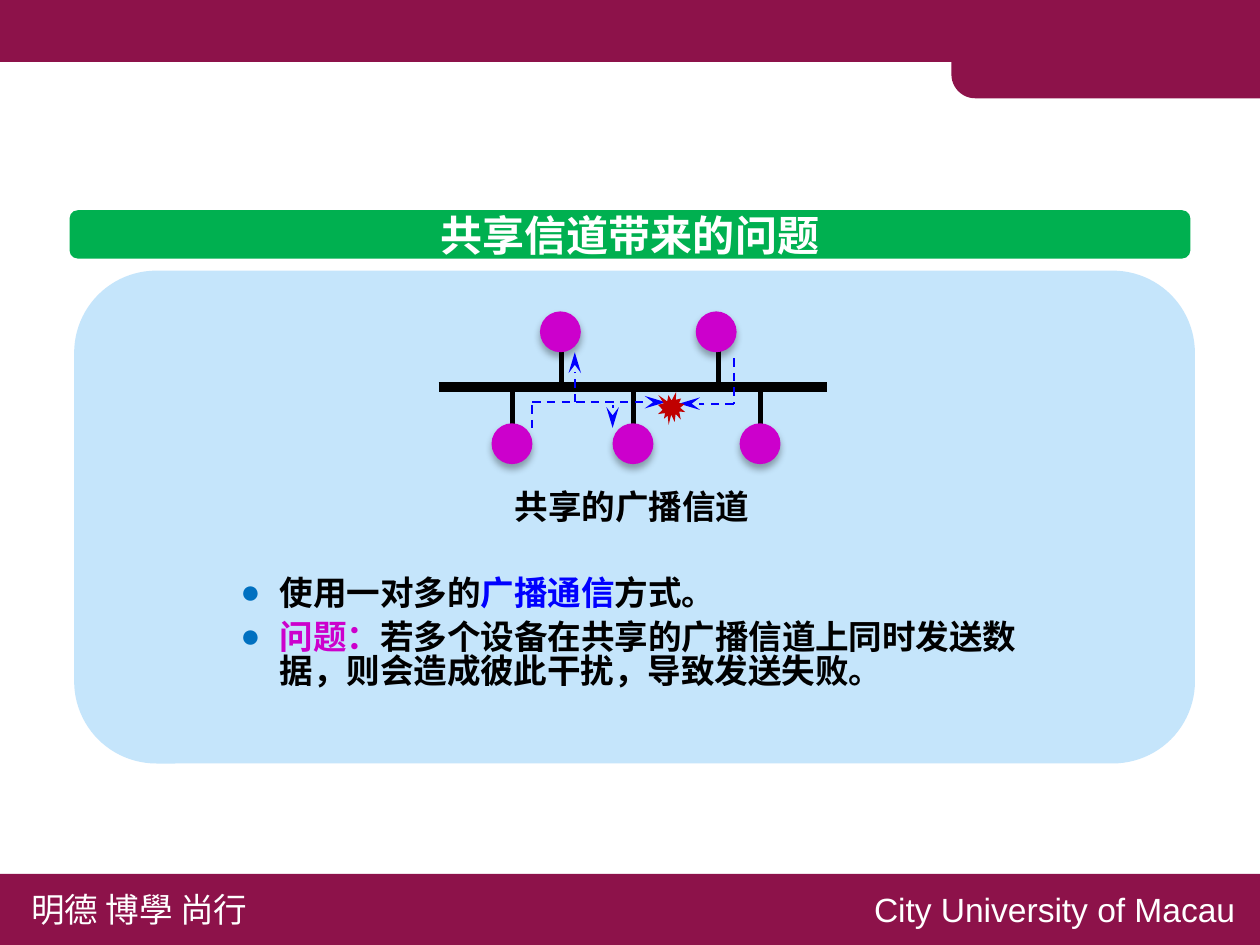
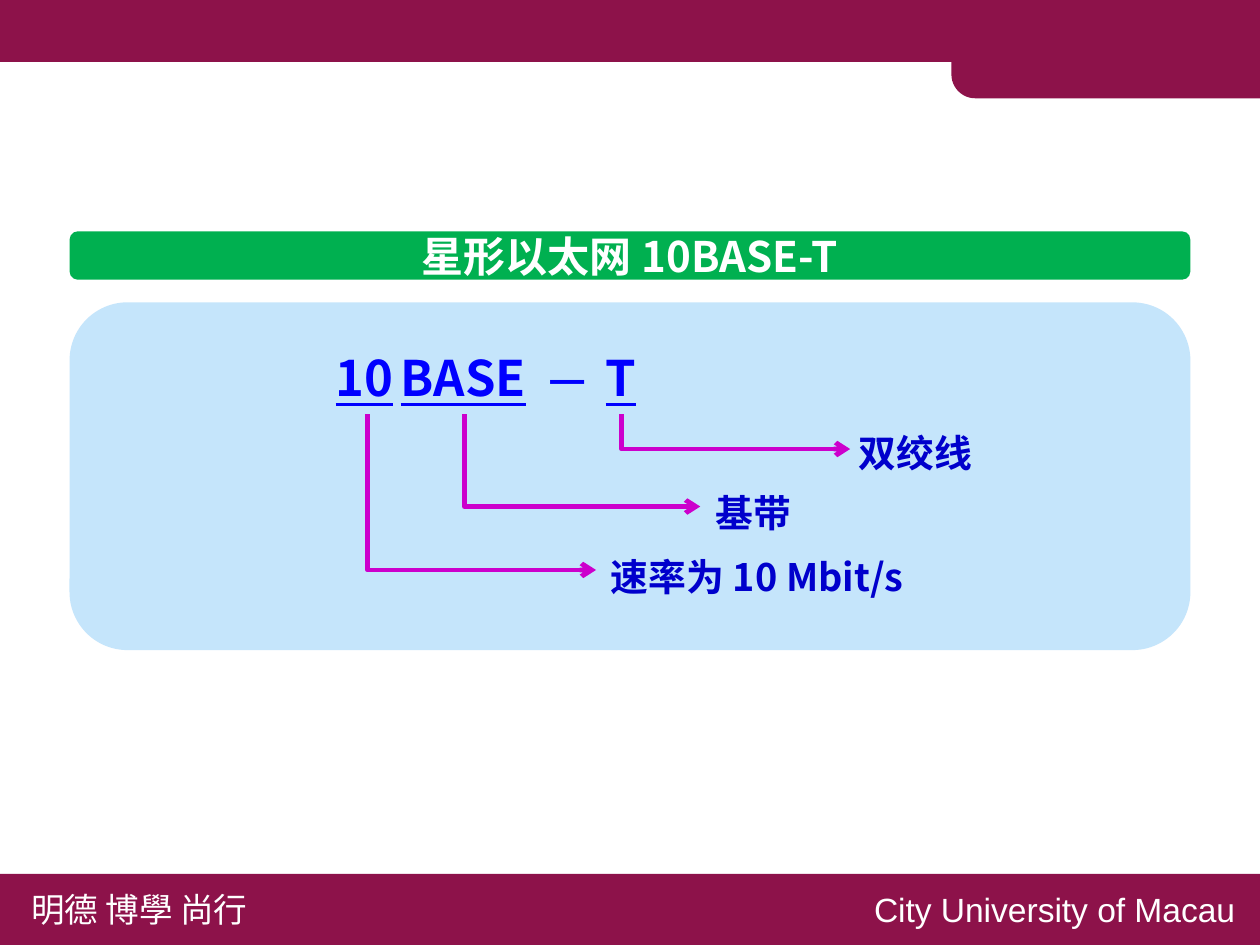
"""Build two lecture slides on shared channels and 10BASE-T Ethernet."""
from dataclasses import dataclass
from typing import NamedTuple, Optional

from lxml.etree import SubElement
from pptx import Presentation
from pptx.dml.color import RGBColor
from pptx.enum.dml import MSO_LINE
from pptx.enum.shapes import MSO_CONNECTOR, MSO_SHAPE
from pptx.enum.text import MSO_ANCHOR, PP_ALIGN
from pptx.oxml.ns import qn
from pptx.util import Pt

PX = 9144
WIDTH, HEIGHT = 833, 625
CJK, LATIN = "Noto Sans CJK SC", "Arial"

WHITE = RGBColor(0xFF, 0xFF, 0xFF)
BLACK = RGBColor(0x00, 0x00, 0x00)
MAROON = RGBColor(0x8D, 0x12, 0x4A)
GREEN = RGBColor(0x00, 0xB0, 0x50)
PALE_BLUE = RGBColor(0xC5, 0xE5, 0xFB)
BLUE = RGBColor(0x00, 0x00, 0xFF)
DARK_BLUE = RGBColor(0x00, 0x00, 0xCC)
BULLET_BLUE = RGBColor(0x00, 0x70, 0xC0)
MAGENTA = RGBColor(0xCC, 0x00, 0xCC)
RED = RGBColor(0xC0, 0x00, 0x00)


class Box(NamedTuple):
    left: int
    top: int
    width: int
    height: int


class Segment(NamedTuple):
    x1: int
    y1: int
    x2: int
    y2: int


@dataclass(frozen=True)
class Style:
    size: float
    color: RGBColor
    bold: bool = True
    underline: Optional[bool] = None
    font: str = CJK


@dataclass(frozen=True)
class Label:
    text: str
    box: Box
    style: Style
    align: PP_ALIGN = PP_ALIGN.LEFT


@dataclass(frozen=True)
class Signal:
    segment: Segment
    arrow: bool


@dataclass(frozen=True)
class Callout:
    segment: Segment
    label: Label


FOOTER = Style(16, WHITE, bold=False)
TITLE = Style(20, WHITE)
TERM = Style(23.3, BLUE, underline=True)
MEANING = Style(18, DARK_BLUE)
BODY_SIZE = 16

FOOTERS = [
    Label("明德 博學 尚行", Box(11, 583, 168, 37), FOOTER),
    Label("City University of Macau", Box(568, 583, 262, 37),
          Style(16, WHITE, bold=False, font=LATIN)),
]

BUS_Y = 256
NODE = 27
UPPER_NODES = [(357, 371), (460, 475)]
LOWER_NODES = [(325, 339), (405, 419), (489, 503)]

SIGNALS = [
    Signal(Segment(485, 267, 449, 267), True),
    Signal(Segment(485, 237, 485, 267), False),
    Signal(Segment(352, 266, 440, 266), True),
    Signal(Segment(380, 266, 380, 233), True),
    Signal(Segment(405, 268, 405, 283), True),
    Signal(Segment(352, 268, 352, 283), False),
]

BULLETS = [
    [("使用一对多的", BLACK), ("广播通信", BLUE), ("方式。", BLACK)],
    [("问题：", MAGENTA),
     ("若多个设备在共享的广播信道上同时发送数据，则会造成彼此干扰，导致发送失败。", BLACK)],
]

TERMS = [
    Label("10", Box(212, 225, 61, 49), TERM),
    Label("BASE", Box(255, 225, 106, 49), TERM),
    Label("—", Box(353, 228, 50, 44), Style(20, BLUE)),
    Label("T", Box(390, 225, 41, 49), TERM, PP_ALIGN.CENTER),
]

CALLOUTS = [
    Callout(Segment(411, 274, 562, 297), Label("双绞线", Box(558, 279, 100, 40), MEANING)),
    Callout(Segment(307, 274, 463, 335), Label("基带", Box(463, 319, 75, 40), MEANING)),
    Callout(Segment(243, 274, 394, 377),
            Label("速率为 10 Mbit/s", Box(394, 361, 235, 40), MEANING)),
]


def emu(lengths: tuple) -> list:
    """Turn px lengths into EMU."""
    return [round(n * PX) for n in lengths]


def format_run(r, style: Style) -> None:
    """Apply a text style to one run."""
    r.font.size = Pt(style.size)
    r.font.bold = style.bold
    r.font.underline = style.underline
    r.font.color.rgb = style.color
    r.font.name = style.font
    SubElement(r.font._element, qn("a:ea")).set("typeface", style.font)


def write_line(tf, text: str, style: Style, align: PP_ALIGN) -> None:
    """Write one vertically centred line of text."""
    tf.word_wrap = True
    tf.vertical_anchor = MSO_ANCHOR.MIDDLE
    tf.margin_top = tf.margin_bottom = 0
    tf.text = text
    p = tf.paragraphs[0]
    p.alignment = align
    format_run(p.runs[0], style)


def add_label(s, label: Label) -> None:
    """Add a one-line text box."""
    tf = s.shapes.add_textbox(*emu(label.box)).text_frame
    write_line(tf, label.text, label.style, label.align)


def add_filled(s, kind: MSO_SHAPE, box: Box, color: RGBColor):
    """Add a preset shape with a plain fill and no line."""
    sp = s.shapes.add_shape(kind, *emu(box))
    sp.shadow.inherit = False
    sp.fill.solid()
    sp.fill.fore_color.rgb = color
    sp.line.fill.background()
    return sp


def add_line(s, segment: Segment, color: RGBColor, width: float,
             kind: MSO_CONNECTOR = MSO_CONNECTOR.STRAIGHT, dashed: bool = False,
             head: str = "", length: str = "med"):
    """Add a connector, optionally dashed or with an arrowhead."""
    cxn = s.shapes.add_connector(kind, *emu(segment))
    cxn.line.color.rgb = color
    cxn.line.width = Pt(width)
    if dashed:
        cxn.line.dash_style = MSO_LINE.DASH
    spPr = cxn._element.spPr
    if head:
        tail = SubElement(spPr.find(qn("a:ln")), qn("a:tailEnd"))
        for key, value in (("type", head), ("w", "med"), ("len", length)):
            tail.set(key, value)
    SubElement(spPr, qn("a:effectLst"))
    return cxn


def add_elbow(s, segment: Segment) -> None:
    """Add an arrow that runs down and then right."""
    x1, y1, x2, y2 = segment
    w, h = y2 - y1, x2 - x1
    left, top = (x1 + x2 - w) / 2, (y1 + y2 - h) / 2
    cxn = add_line(s, Segment(left + w, top, left, top + h), MAGENTA, 2.25,
                   MSO_CONNECTOR.ELBOW, head="arrow")
    spPr = cxn._element.spPr
    spPr.find(qn("a:xfrm")).set("rot", str(270 * 60000))
    spPr.find(qn("a:prstGeom")).set("prst", "bentConnector2")


def add_node(s, left: int, top: int) -> None:
    """Add a station circle with a soft shadow."""
    sp = add_filled(s, MSO_SHAPE.OVAL, Box(left, top, NODE, NODE), MAGENTA)
    effects = sp._element.spPr.find(qn("a:effectLst"))
    shadow = SubElement(effects, qn("a:outerShdw"), blurRad=str(Pt(3.5)),
                        dist=str(Pt(2.2)), dir=str(90 * 60000), rotWithShape="0")
    color = SubElement(shadow, qn("a:srgbClr"), val=str(BLACK))
    SubElement(color, qn("a:alpha"), val="32000")


def add_bullet(p) -> None:
    """Give a paragraph a round bullet and a hanging indent."""
    pPr = p._p.get_or_add_pPr()
    pPr.set("marL", str(26 * PX))
    pPr.set("indent", str(-26 * PX))
    SubElement(SubElement(pPr, qn("a:buClr")), qn("a:srgbClr"), val=str(BULLET_BLUE))
    SubElement(pPr, qn("a:buFont"), typeface=LATIN)
    SubElement(pPr, qn("a:buChar"), char="●")


def add_body(s) -> None:
    """Add the caption and the bullets under the bus."""
    tf = s.shapes.add_textbox(*emu(Box(149, 321, 538, 159))).text_frame
    tf.word_wrap = True
    tf.text = "共享的广播信道"
    p = tf.paragraphs[0]
    p.alignment = PP_ALIGN.CENTER
    format_run(p.runs[0], Style(BODY_SIZE, BLACK))
    for spans, gap in zip(BULLETS, (24.5, 5)):
        p = tf.add_paragraph()
        add_bullet(p)
        p.space_before = Pt(gap)
        for text, color in spans:
            r = p.add_run()
            r.text = text
            format_run(r, Style(BODY_SIZE, color))
    for p in tf.paragraphs:
        p.line_spacing = 0.84


def add_base(prs, title: str, title_top: int, panel: Box):
    """Add a slide with its bands, footers, panel and title bar."""
    s = prs.slides.add_slide(prs.slide_layouts[6])
    add_filled(s, MSO_SHAPE.RECTANGLE, Box(0, 0, WIDTH, 41), MAROON)
    tab = add_filled(s, MSO_SHAPE.ROUND_1_RECTANGLE, Box(629, 2, 204, 63), MAROON)
    tab.rotation = 180
    tab.adjustments[0] = 0.25
    add_filled(s, MSO_SHAPE.RECTANGLE, Box(0, 578, WIDTH, HEIGHT - 578), MAROON)
    for footer in FOOTERS:
        add_label(s, footer)
    add_filled(s, MSO_SHAPE.ROUNDED_RECTANGLE, panel, PALE_BLUE)
    bar = add_filled(s, MSO_SHAPE.ROUNDED_RECTANGLE, Box(46, title_top, 741, 32), GREEN)
    bar.adjustments[0] = 0.17
    write_line(bar.text_frame, title, TITLE, PP_ALIGN.CENTER)
    return s


def build_channel(prs) -> None:
    """Build the shared channel slide."""
    s = add_base(prs, "共享信道带来的问题", 139, Box(49, 179, 741, 326))
    add_line(s, Segment(290, BUS_Y, 547, BUS_Y), BLACK, 4.5)
    for nodes, top, stub_end in ((UPPER_NODES, 206, 229), (LOWER_NODES, 280, 285)):
        for left, stub_x in nodes:
            add_line(s, Segment(stub_x, BUS_Y, stub_x, stub_end), BLACK, 2.25)
            add_node(s, left, top)
    add_body(s)
    for signal in SIGNALS:
        add_line(s, signal.segment, BLUE, 1, dashed=True,
                 head="stealth" if signal.arrow else "", length="lg")
    add_filled(s, MSO_SHAPE.EXPLOSION1, Box(435, 259, 18, 22), RED)


def build_ethernet(prs) -> None:
    """Build the 10BASE-T slide."""
    s = add_base(prs, "星形以太网 10BASE-T", 153, Box(46, 200, 741, 230))
    for term in TERMS:
        add_label(s, term)
    for callout in CALLOUTS:
        add_elbow(s, callout.segment)
        add_label(s, callout.label)


def main() -> None:
    """Build and save the presentation."""
    prs = Presentation()
    prs.slide_width, prs.slide_height = emu((WIDTH, HEIGHT))
    build_channel(prs)
    build_ethernet(prs)
    prs.save("out.pptx")


if __name__ == "__main__":
    main()
